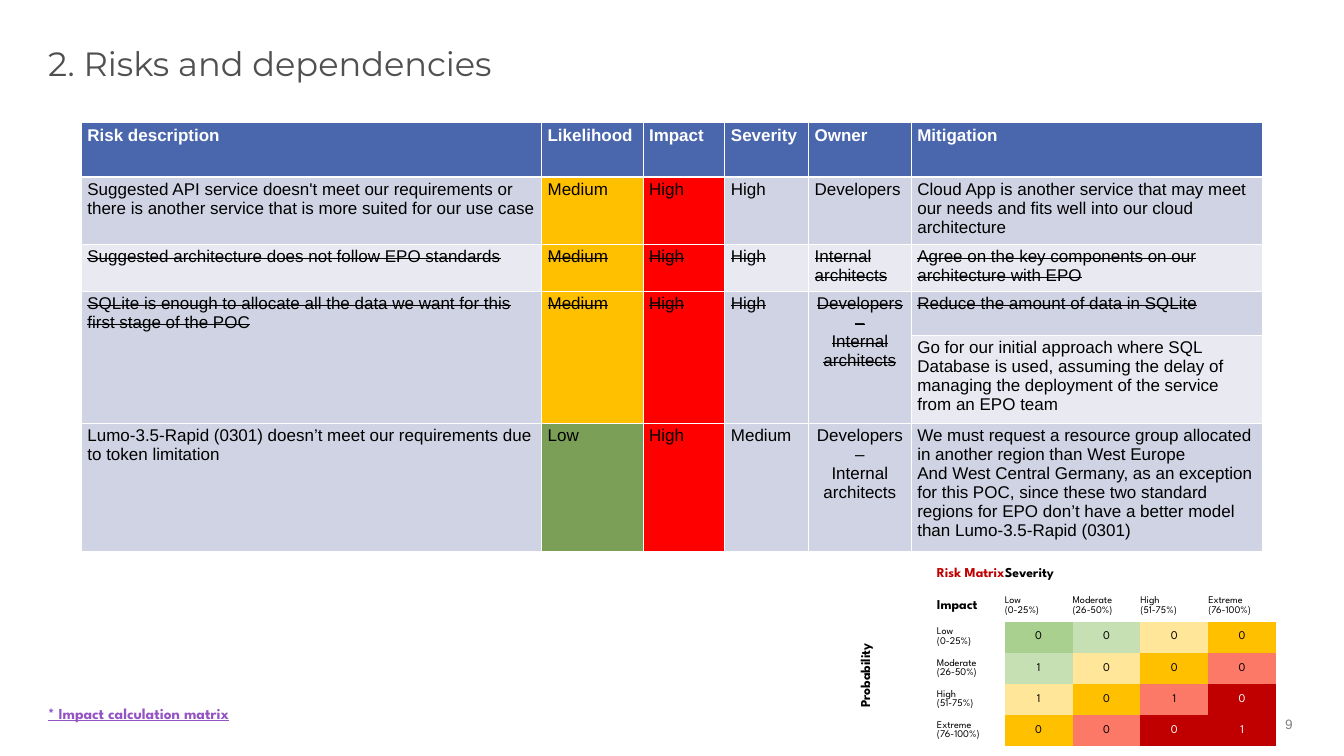
from lxml import etree
from pptx import Presentation, util as u
from pptx.dml.color import RGBColor
from pptx.enum import text
from pptx.oxml.ns import qn

COLORS = {
    "title": "505050", "page": "808080", "link": "9454C3",
    "black": "000000", "white": "FFFFFF", "header": "4A66AC",
    "band": "D0D3E3", "light_band": "E9EAF1",
    "Low": "7B9F57", "Medium": "FFC000", "High": "FF0000", "dark_red": "C00000",
}
MATRIX_SCALE = ["A9D08E", "C6E0B4", "FFE699", "FFC000", "FD7967", COLORS["dark_red"]]
PLAIN_TABLE_STYLE = "{2D5ABB26-0587-4C30-8999-92F81FD0307C}"
LEFT, CENTER, RIGHT = text.PP_ALIGN.LEFT, text.PP_ALIGN.CENTER, text.PP_ALIGN.RIGHT

RISK_COLUMNS = [7.53, 1.66, 1.34, 1.37, 1.68, 5.75]
RISK_ROWS = [0.89, 1.1, 0.77, 0.72, 1.43, 2.1]
RISK_HEADERS = ["Risk description", "Likelihood", "Impact", "Severity", "Owner", "Mitigation"]
SHARED_OWNERS = ["Developers –", "Internal architects"]
RISKS = [
    ["Suggested API service doesn't meet our requirements or there is another service "
     "that is more suited for our use case", "Medium", "High", "High", "Developers",
     "Cloud App is another service that may meet our needs and fits well into our cloud architecture"],
    ["Suggested architecture does not follow EPO standards", "Medium", "High", "High",
     "Internal architects", "Agree on the key components on our architecture with EPO"],
    ["SQLite is enough to allocate all the data we want for this first stage of the POC",
     "Medium", "High", "High", SHARED_OWNERS, "Reduce the amount of data in SQLite"],
    [None, None, None, None, None,
     "Go for our initial approach where SQL Database is used, assuming the delay of managing "
     "the deployment of the service from an EPO team"],
    ["Lumo-3.5-Rapid (0301) doesn’t meet our requirements due to token limitation",
     "Low", "High", "Medium", SHARED_OWNERS,
     ["We must request a resource group allocated in another region than West Europe",
      "And West Central Germany, as an exception for this POC, since these two standard "
      "regions for EPO don’t have a better model than Lumo-3.5-Rapid (0301)"]],
]
STRUCK_ROWS = (2, 3)
MERGED_ROW = 3

MATRIX_COLUMNS = [1.25] + [1.11] * 5
MATRIX_ROWS = [0.53] + [0.51] * 5
LEVELS = ["Low\n(0-25%)", "Moderate\n(26-50%)", "High\n(51-75%)", "Extreme\n(76-100%)"]
COUNTS = [[0, 0, 0, 0], [1, 0, 0, 0], [1, 0, 1, 0], [0, 0, 0, 1]]


def write(frame, content, size, font, color, bold=False, align=LEFT, underline=False, strike=False):
    """Fill a text frame; a list gives one paragraph per item."""
    lines = content if isinstance(content, list) else [content]
    for index, line in enumerate(lines):
        paragraph = frame.add_paragraph() if index else frame.paragraphs[0]
        paragraph.text = line
        paragraph.alignment = align
        paragraph.font.size = u.Pt(size)
        paragraph.font.name = font
        paragraph.font.bold = bold
        paragraph.font.underline = underline
        paragraph.font.color.rgb = RGBColor.from_string(color)
        if strike:
            for run in paragraph.runs:
                run._r.get_or_add_rPr().set("strike", "sngStrike")


def add_text(slide, position, content, size, font, color,
             anchor=text.MSO_ANCHOR.MIDDLE, **style):
    box = slide.shapes.add_textbox(*map(u.Inches, position))
    frame = box.text_frame
    frame.word_wrap = True
    frame.vertical_anchor = anchor
    write(frame, content, size, font, color, **style)
    return frame


def add_plain_table(slide, left, top, columns, rows):
    """Add an unstyled table with the given column widths and row heights."""
    frame = slide.shapes.add_table(len(rows), len(columns), u.Inches(left), u.Inches(top),
                                   u.Inches(sum(columns)), u.Inches(sum(rows)))
    table = frame.table
    table.first_row = table.horz_banding = False
    table._tbl.tblPr.find(qn("a:tableStyleId")).text = PLAIN_TABLE_STYLE
    for column, width in zip(table.columns, columns):
        column.width = u.Inches(width)
    for row, height in zip(table.rows, rows):
        row.height = u.Inches(height)
    return table


def fill_cell(cell, color):
    cell.fill.solid()
    cell.fill.fore_color.rgb = RGBColor.from_string(color)


def add_borders(cell, bottom=1):
    properties = cell._tc.get_or_add_tcPr()
    for side, width in (("L", 1), ("R", 1), ("T", 1), ("B", bottom)):
        line = etree.SubElement(properties, qn(f"a:ln{side}"), w=str(u.Pt(width)))
        fill = etree.SubElement(line, qn("a:solidFill"))
        etree.SubElement(fill, qn("a:srgbClr"), val=COLORS["white"])


def add_risk_table(slide):
    table = add_plain_table(slide, 1.33, 2.01, RISK_COLUMNS, RISK_ROWS)
    for column, heading in enumerate(RISK_HEADERS):
        cell = table.cell(0, column)
        add_borders(cell, bottom=3)
        fill_cell(cell, COLORS["header"])
        write(cell.text_frame, heading, 20, "Arial", COLORS["white"], bold=True)
    for row, risk in enumerate(RISKS, 1):
        band = COLORS["light_band" if row in (2, 4) else "band"]
        for column, content in enumerate(risk):
            cell = table.cell(row, column)
            add_borders(cell)
            if content is None:
                continue
            fill_cell(cell, COLORS[content] if column in (1, 2) else band)
            write(cell.text_frame, content, 20, "Arial", COLORS["black"],
                  align=CENTER if content is SHARED_OWNERS else LEFT,
                  strike=row in STRUCK_ROWS)
    for column in range(len(RISK_HEADERS) - 1):
        table.cell(MERGED_ROW, column).merge(table.cell(MERGED_ROW + 1, column))


def write_matrix_cell(cell, content, size, color=COLORS["black"], **style):
    cell.margin_left = cell.margin_right = cell.margin_top = cell.margin_bottom = 0
    cell.vertical_anchor = text.MSO_ANCHOR.MIDDLE
    write(cell.text_frame, content, size, "League Spartan", color, **style)


def add_risk_matrix(slide):
    table = add_plain_table(slide, 14.08, 9.13, MATRIX_COLUMNS, MATRIX_ROWS)
    write_matrix_cell(table.cell(0, 1), "Risk Matrix", 16, COLORS["dark_red"], bold=True)
    write_matrix_cell(table.cell(0, 2), "Severity", 16, bold=True)
    write_matrix_cell(table.cell(1, 1), "Impact", 16, bold=True)

    probability = table.cell(1, 0)
    probability.merge(table.cell(5, 0))
    write_matrix_cell(probability, "Probability", 16, bold=True, align=CENTER)
    probability.margin_right = u.Inches(0.24)
    probability._tc.get_or_add_tcPr().set("vert", "vert270")

    for row, level in enumerate(LEVELS):
        write_matrix_cell(table.cell(1, row + 2), level, 12)
        write_matrix_cell(table.cell(row + 2, 1), level, 12)
        for column, count in enumerate(COUNTS[row]):
            cell = table.cell(row + 2, column + 2)
            shade = MATRIX_SCALE[min(row + column, 5)]
            fill_cell(cell, shade)
            color = COLORS["white" if shade == COLORS["dark_red"] else "black"]
            write_matrix_cell(cell, str(count), 14, color, align=CENTER)


def main():
    presentation = Presentation()
    presentation.slide_width = u.Inches(21.99)
    presentation.slide_height = u.Inches(12.37)
    slide = presentation.slides.add_slide(presentation.slide_layouts[6])

    title = add_text(slide, (0.69, 0.7, 11.98, 0.76), "2. Risks and dependencies",
                     39.6, "Montserrat", COLORS["title"])
    title.paragraphs[0].line_spacing = 0.9
    add_text(slide, (18.25, 11.65, 3, 0.4), "9", 16, "Arial", COLORS["page"], align=RIGHT)
    add_risk_matrix(slide)
    add_text(slide, (0.69, 11.47, 6.6, 0.4), "* Impact calculation matrix", 18,
             "League Spartan", COLORS["link"], anchor=text.MSO_ANCHOR.TOP,
             bold=True, underline=True)
    add_risk_table(slide)
    presentation.save("out.pptx")


if __name__ == "__main__":
    main()
